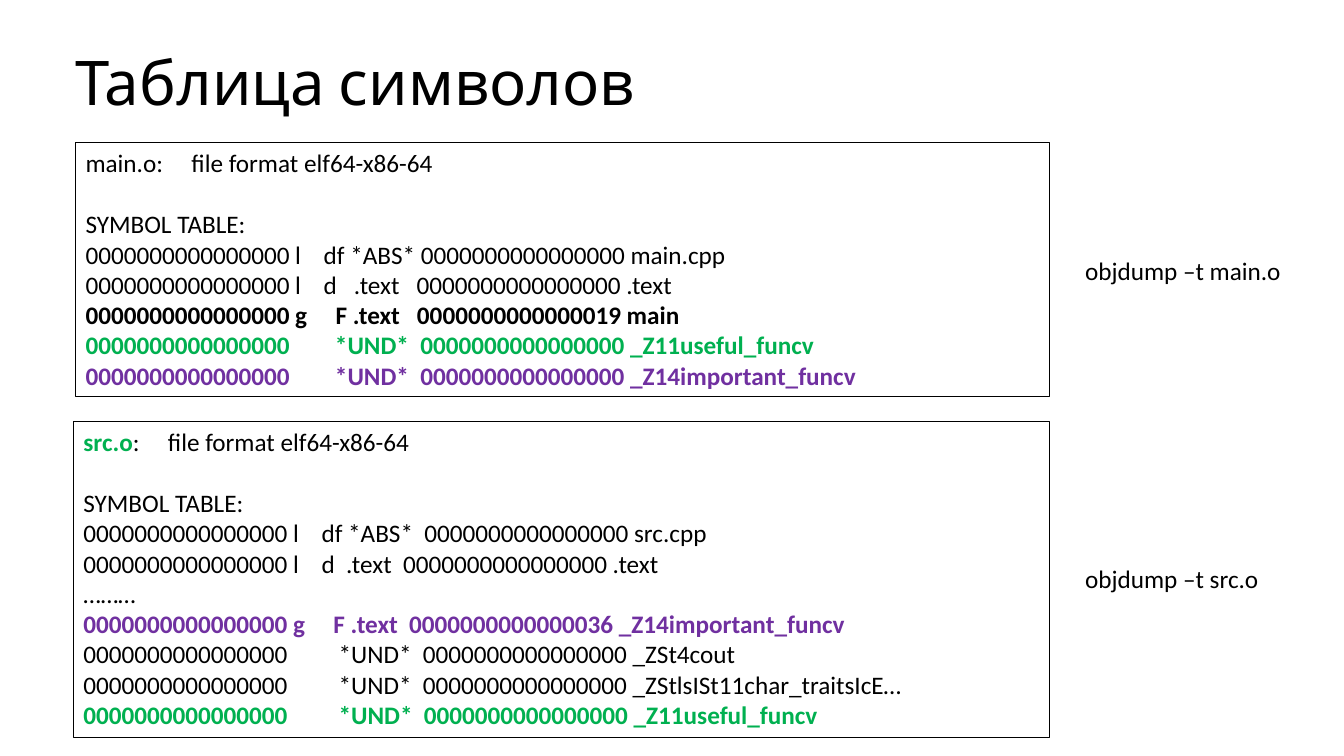
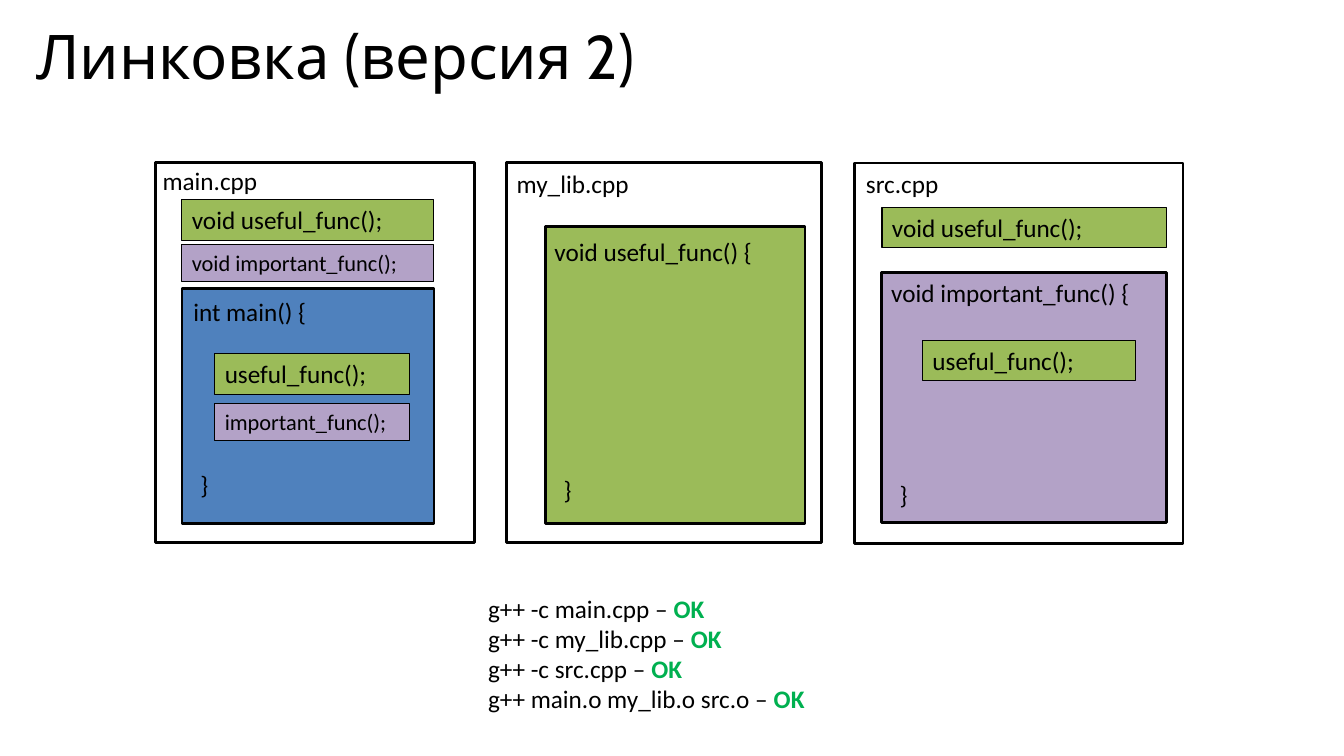
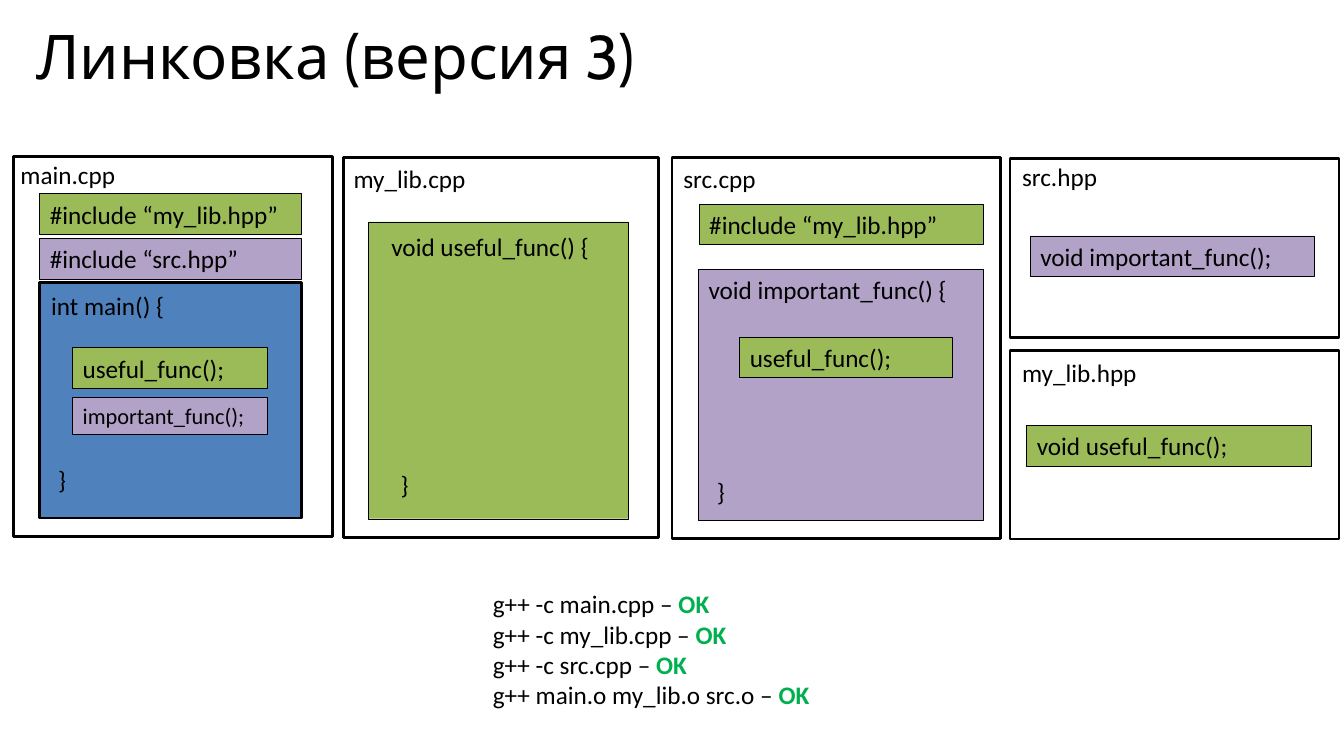
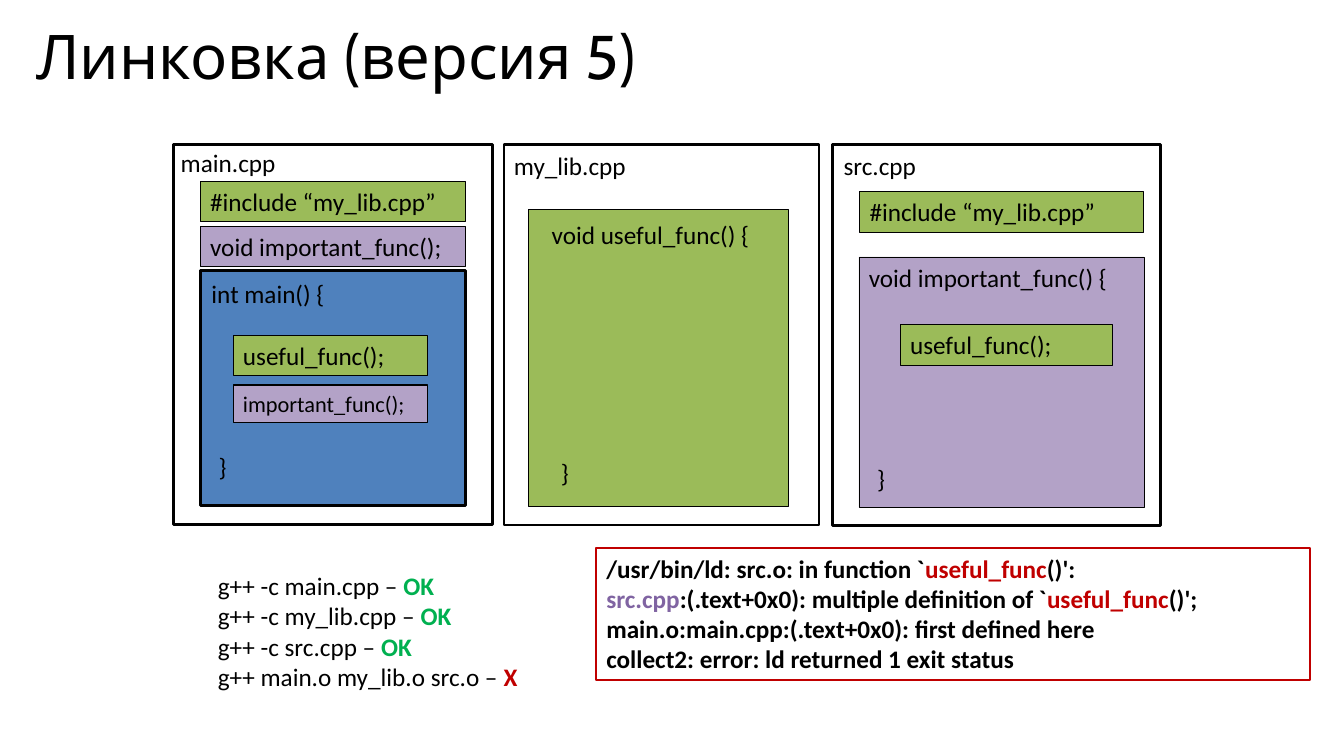
"""Build four slides on symbol tables and on linking C++ files."""
from pptx import Presentation
from pptx.dml.color import RGBColor
from pptx.enum import shapes, text
from pptx.oxml.ns import qn
from pptx.util import Pt

BLACK = RGBColor(0x00, 0x00, 0x00)
WHITE = RGBColor(0xFF, 0xFF, 0xFF)
BLUE = RGBColor(0x4F, 0x81, 0xBD)
LIME = RGBColor(0x9B, 0xBB, 0x59)
LILAC = RGBColor(0xB3, 0xA2, 0xC7)
GREEN = RGBColor(0x00, 0xB0, 0x50)
VIOLET = RGBColor(0x70, 0x30, 0xA0)
MAUVE = RGBColor(0x80, 0x64, 0xA2)
RED = RGBColor(0xC0, 0x00, 0x00)

TITLE_FONT, BODY_FONT = "Cabin", "Calibri"
THICK, THIN, HAIR = 2, 0.75, 0.25
ROW = 29
LINE_HEIGHT = 22

USEFUL, IMPORTANT = "void useful_func();", "void important_func();"
INCLUDE_LIB = "#include “my_lib.hpp”"
INCLUDE_SOURCE = "#include “my_lib.cpp”"

SYMBOL_TABLES = [
    {"place": (54, 102, 696, 181.5), "command": "objdump –t main.o", "command_top": 178.5,
     "header": [("main.o:     file format elf64-x86-64", BLACK, False)],
     "rows": [
         ("0000000000000000 l    df *ABS* 0000000000000000 main.cpp", BLACK, False),
         ("0000000000000000 l    d   .text   0000000000000000 .text", BLACK, False),
         ("0000000000000000 g     F .text   0000000000000019 main", BLACK, True),
         ("0000000000000000        *UND*  0000000000000000 _Z11useful_funcv", GREEN, True),
         ("0000000000000000        *UND*  0000000000000000 _Z14important_funcv", VIOLET, True)]},
    {"place": (52.5, 301, 697.5, 225.5), "command": "objdump –t src.o", "command_top": 399,
     "header": [("src.o", GREEN, True), (":     file format elf64-x86-64", BLACK, False)],
     "rows": [
         ("0000000000000000 l    df *ABS*  0000000000000000 src.cpp", BLACK, False),
         ("0000000000000000 l    d  .text  0000000000000000 .text", BLACK, False),
         ("………", BLACK, False),
         ("0000000000000000 g     F .text  0000000000000036 _Z14important_funcv", VIOLET, True),
         ("0000000000000000         *UND*  0000000000000000 _ZSt4cout", BLACK, False),
         ("0000000000000000         *UND*  0000000000000000 _ZStlsISt11char_traitsIcE…",
          BLACK, False),
         ("0000000000000000         *UND*  0000000000000000 _Z11useful_funcv", GREEN, True)]},
]

COMMANDS = ["g++ -c main.cpp – ", "g++ -c my_lib.cpp – ", "g++ -c src.cpp – ",
            "g++ main.o my_lib.o src.o – "]
OK, FAILED = ("OK", GREEN, True), ("X", RED, True)

LINKER_ERROR = [
    [("/usr/bin/ld: src.o: in function `", BLACK, True), ("useful_func", RED, True),
     ("()':", BLACK, True)],
    [("src.cpp", MAUVE, True), (":(.text+0x0): multiple definition of `", BLACK, True),
     ("useful_func", RED, True),
     ("()'; main.o:main.cpp:(.text+0x0): first defined here", BLACK, True)],
    [("collect2: error: ld returned 1 exit status", BLACK, True)],
]

LINKING = [
    {"title": "Линковка (версия 2)",
     "main": {"origin": (111, 116), "width": 180,
              "heads": [(USEFUL, LIME, 18, ROW), (IMPORTANT, LILAC, 16, 26.5)]},
     "library": {"origin": (362, 116), "inset": 27.5, "border": THICK},
     "source": {"origin": (610.5, 116.5), "head": USEFUL, "drop": 0, "border": THICK},
     "results": [OK] * 4, "commands_at": (341.5, 420)},
    {"title": "Линковка (версия 3)",
     "main": {"origin": (9.5, 112), "width": 187,
              "heads": [(INCLUDE_LIB, LIME, 18, ROW), ("#include “src.hpp”", LILAC, 18, ROW)]},
     "library": {"origin": (245.5, 112.5), "inset": 17.5, "border": HAIR},
     "source": {"origin": (480, 112.5), "head": INCLUDE_LIB, "drop": 2, "border": HAIR},
     "headers": [
         ("src.hpp", 113, 128, 111.5, (736, 168.5), IMPORTANT, LILAC, HAIR),
         ("my_lib.hpp", 250.5, 134.5, 252, (733.5, 304), USEFUL, LIME, THIN)],
     "results": [OK] * 4, "commands_at": (345, 417)},
    {"title": "Линковка (версия 5)",
     "main": {"origin": (124, 103), "width": 189.5,
              "heads": [(INCLUDE_SOURCE, LIME, 18, ROW), (IMPORTANT, LILAC, 18, ROW)]},
     "library": {"origin": (360, 103.5), "inset": 17.5, "border": HAIR},
     "source": {"origin": (594.5, 103.5), "head": INCLUDE_SOURCE, "drop": 2, "border": HAIR},
     "results": [OK] * 3 + [FAILED], "commands_at": (148.5, 404),
     "error": (426, 391.5, 510, 94.5)},
]


def style_titles(presentation):
    layout = presentation.slide_layouts.get_by_name("Title Only")
    title = layout.placeholders[0]
    title.left, title.top, title.width, title.height = Pt(26), Pt(11.5), Pt(739), Pt(55)
    frame = title.text_frame
    frame.margin_left = frame.margin_right = frame.margin_top = frame.margin_bottom = 0
    frame.vertical_anchor = text.MSO_ANCHOR.MIDDLE
    frame.auto_size = text.MSO_AUTO_SIZE.NONE
    level = next(presentation.slide_master.element.iter(qn("p:titleStyle"))).find(qn("a:lvl1pPr"))
    level.set("algn", "l")
    defaults = level.find(qn("a:defRPr"))
    defaults.set("sz", "4400")
    defaults.find(qn("a:latin")).set("typeface", TITLE_FONT)
    return layout


def add_slide(presentation, layout, title):
    slide = presentation.slides.add_slide(layout)
    slide.shapes.title.text_frame.text = title
    return slide


def write(shape, lines, size=18, space_before=None):
    frame = shape.text_frame
    frame.word_wrap = True
    frame.vertical_anchor = text.MSO_ANCHOR.TOP
    for index, line in enumerate(lines):
        paragraph = frame.paragraphs[0] if index == 0 else frame.add_paragraph()
        paragraph.alignment = text.PP_ALIGN.LEFT
        if space_before and index in space_before:
            paragraph.space_before = Pt(space_before[index])
        for words, color, bold in line:
            run = paragraph.add_run()
            run.text = words
            run.font.name, run.font.size, run.font.bold = BODY_FONT, Pt(size), bold
            run.font.color.rgb = color


def add_box(slide, place, fill=None, border=THIN, color=BLACK):
    shape = slide.shapes.add_shape(shapes.MSO_SHAPE.RECTANGLE, *map(Pt, place))
    shape.shadow.inherit = False
    if fill is None:
        shape.fill.background()
    else:
        shape.fill.solid()
        shape.fill.fore_color.rgb = fill
    shape.line.color.rgb = color
    shape.line.width = Pt(border)
    return shape


def add_code(slide, place, words, fill, size=18, border=THIN):
    write(add_box(slide, place, fill, border), [[(words, BLACK, False)]], size)


def add_label(slide, left, top, words, width=108):
    label = slide.shapes.add_textbox(Pt(left), Pt(top), Pt(width), Pt(ROW))
    write(label, [[(words, BLACK, False)]])


def add_main(slide, origin, width, heads):
    x, y = origin
    add_box(slide, (x, y, 228, 271.5), WHITE, THICK)
    add_label(slide, x - 2, y - 1.5, "main.cpp", 90)
    add_box(slide, (x + 19, y + 90, width, 168), BLUE, THICK)
    add_label(slide, x + 20, y + 92, "int main() {")
    add_code(slide, (x + 42.5, y + 136.5, 139, ROW), "useful_func();", LIME)
    add_code(slide, (x + 42.5, y + 172, 139, 26.5), "important_func();", LILAC, 16)
    add_label(slide, x + 25, y + 216, "}", 60)
    for index, (words, fill, size, height) in enumerate(heads):
        add_code(slide, (x + 19, y + 26.5 + 32 * index, width, height), words, fill, size)


def add_library(slide, origin, inset, border):
    x, y = origin
    add_box(slide, (x, y, 225, 271.5), WHITE, THICK)
    add_label(slide, x, y + 0.5, "my_lib.cpp")
    add_box(slide, (x + inset, y + 46, 185.5, 212), LIME, border)
    add_label(slide, x + 27, y + 49.5, "void useful_func() {", 185)
    add_label(slide, x + 33.5, y + 219.5, "}", 60)


def add_source(slide, origin, head, drop, border):
    x, y = origin
    add_box(slide, (x, y, 234.5, 272), WHITE, THICK)
    add_label(slide, x + 1, y + 0.5, "src.cpp")
    y += drop
    add_box(slide, (x + 19, y + 78, 203.5, 179), LILAC, border)
    add_label(slide, x + 19, y + 78, "void important_func() {", 203)
    add_label(slide, x + 25, y + 222, "}", 60)
    add_code(slide, (x + 48.5, y + 126.5, 152, ROW), "useful_func();", LIME)
    add_code(slide, (x + 19.5, y + 31.5, 203, ROW), head, LIME)


def add_header(slide, name, top, height, label_top, code_at, words, fill, border):
    add_box(slide, (721.5, top, 235, height), WHITE, THICK)
    add_label(slide, 723, label_top, name)
    add_code(slide, (*code_at, 203, ROW), words, fill, border=border)


def add_symbol_slide(presentation, layout):
    slide = add_slide(presentation, layout, "Таблица символов")
    title = slide.shapes.title
    title.left, title.top, title.width, title.height = Pt(54), Pt(30), Pt(739), Pt(55)
    for table in SYMBOL_TABLES:
        lines = [table["header"], [("SYMBOL TABLE:", BLACK, False)]]
        lines += [[row] for row in table["rows"]]
        write(add_box(slide, table["place"]), lines, space_before={1: LINE_HEIGHT})
        add_label(slide, 768, table["command_top"], table["command"], 168)


def add_linking_slide(presentation, layout, content):
    slide = add_slide(presentation, layout, content["title"])
    add_main(slide, **content["main"])
    add_library(slide, **content["library"])
    add_source(slide, **content["source"])
    for header in content.get("headers", []):
        add_header(slide, *header)
    left, top = content["commands_at"]
    commands = slide.shapes.add_textbox(Pt(left), Pt(top), Pt(270), Pt(94.5))
    write(commands, [[(command, BLACK, False), result]
                     for command, result in zip(COMMANDS, content["results"])])
    if "error" in content:
        write(add_box(slide, content["error"], border=1.5, color=RED), LINKER_ERROR)


def main():
    presentation = Presentation()
    presentation.slide_width, presentation.slide_height = Pt(960), Pt(540)
    layout = style_titles(presentation)
    add_symbol_slide(presentation, layout)
    for content in LINKING:
        add_linking_slide(presentation, layout, content)
    presentation.save("out.pptx")


if __name__ == "__main__":
    main()
